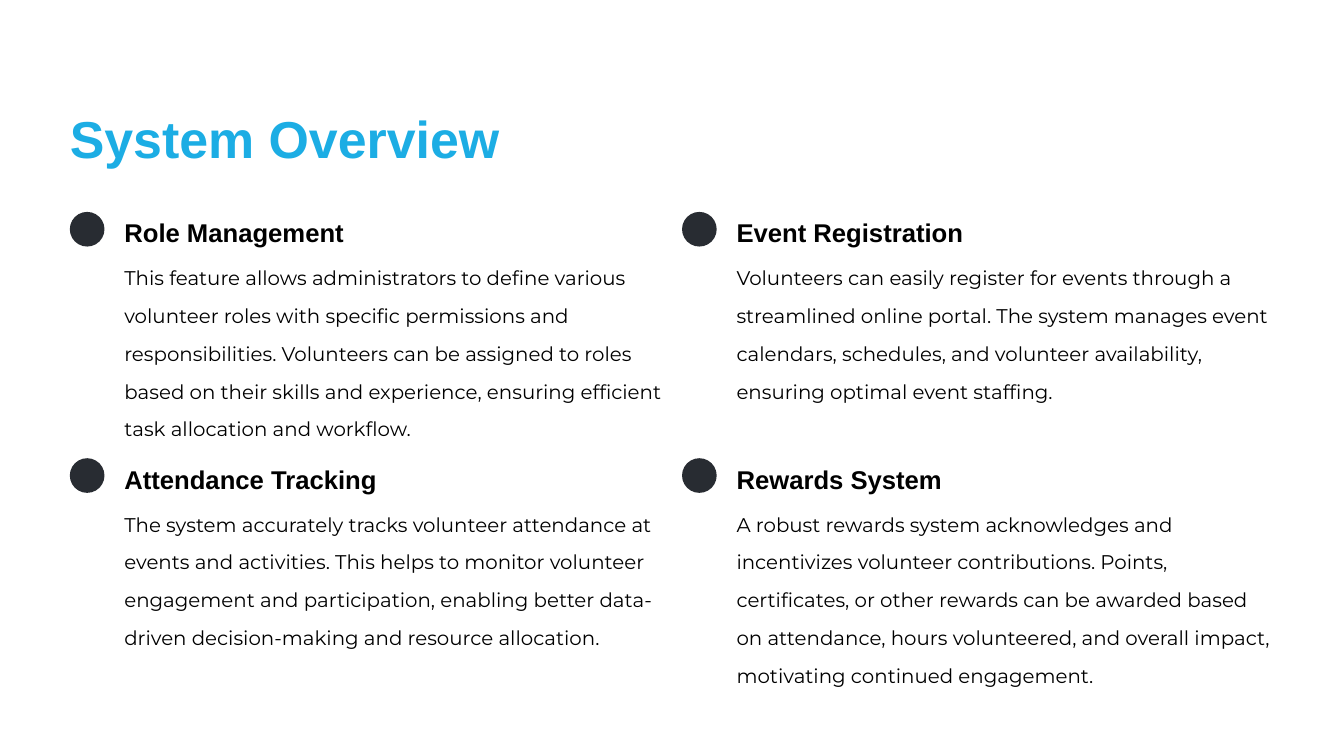
from pptx import Presentation
from pptx.dml.color import RGBColor
from pptx.enum.shapes import MSO_SHAPE
from pptx.util import Cm, Pt

TITLE = "System Overview"
FEATURES = [
    {"heading": "Role Management", "lines": 5,
     "description": "This feature allows administrators to define various volunteer roles "
                    "with specific permissions and responsibilities. Volunteers can be "
                    "assigned to roles based on their skills and experience, ensuring "
                    "efficient task allocation and workflow."},
    {"heading": "Event Registration", "lines": 4,
     "description": "Volunteers can easily register for events through a streamlined online "
                    "portal. The system manages event calendars, schedules, and volunteer "
                    "availability, ensuring optimal event staffing."},
    {"heading": "Attendance Tracking", "lines": 4,
     "description": "The system accurately tracks volunteer attendance at events and "
                    "activities. This helps to monitor volunteer engagement and "
                    "participation, enabling better data-driven decision-making and "
                    "resource allocation."},
    {"heading": "Rewards System", "lines": 5,
     "description": "A robust rewards system acknowledges and incentivizes volunteer "
                    "contributions. Points, certificates, or other rewards can be awarded "
                    "based on attendance, hours volunteered, and overall impact, motivating "
                    "continued engagement."},
]

THEME = {
    "bullet": "282C32",
    "title": {"font": "Arial", "size": 55.6, "color": "1CADE4", "bold": True, "spacing": 1.26},
    "heading": {"font": "Arial", "size": 27.5, "color": "000000", "bold": True, "spacing": 1.27},
    "description": {"font": "Montserrat", "size": 21.2, "color": "000000", "bold": False,
                    "spacing": 1.59},
}

COLUMNS = 2
LEFT, TOP = 2.64, 8.01
COLUMN_STEP, ROW_STEP = 23.14, 9.31
BULLET_SIZE = 1.31
TEXT_INDENT = 2.06
HEADING_RISE, DESCRIPTION_DROP = 0.11, 1.52
LINE_HEIGHT = 1.24


def add_text(slide, text, *, left, top, width, height, font, size, color, bold, spacing):
    box = slide.shapes.add_textbox(Cm(left), Cm(top), Cm(width), Cm(height))
    frame = box.text_frame
    frame.word_wrap = True
    frame.margin_left = frame.margin_top = frame.margin_right = frame.margin_bottom = 0
    paragraph = frame.paragraphs[0]
    paragraph.line_spacing = spacing
    run = paragraph.add_run()
    run.text = text
    run.font.name = font
    run.font.size = Pt(size)
    run.font.bold = bold
    run.font.color.rgb = RGBColor.from_string(color)


def add_bullet(slide, left, top):
    bullet = slide.shapes.add_shape(
        MSO_SHAPE.OVAL, Cm(left), Cm(top), Cm(BULLET_SIZE), Cm(BULLET_SIZE))
    bullet.shadow.inherit = False
    bullet.fill.solid()
    bullet.fill.fore_color.rgb = RGBColor.from_string(THEME["bullet"])
    bullet.line.fill.background()


def main():
    """Build the system overview slide with its grid of features."""
    deck = Presentation()
    deck.slide_width, deck.slide_height = Cm(50.8), Cm(28.575)
    slide = deck.slides.add_slide(deck.slide_layouts[6])
    add_text(slide, TITLE, left=LEFT, top=3.43, width=19.79, height=2.62, **THEME["title"])
    for index, feature in enumerate(FEATURES):
        row, column = divmod(index, COLUMNS)
        left = LEFT + column * COLUMN_STEP
        top = TOP + row * ROW_STEP
        add_bullet(slide, left, top)
        add_text(slide, feature["heading"], left=left + TEXT_INDENT, top=top - HEADING_RISE,
                 width=9.91, height=1.35, **THEME["heading"])
        add_text(slide, feature["description"], left=left + TEXT_INDENT,
                 top=top + DESCRIPTION_DROP, width=20.32,
                 height=feature["lines"] * LINE_HEIGHT, **THEME["description"])
    deck.save("out.pptx")


if __name__ == "__main__":
    main()
